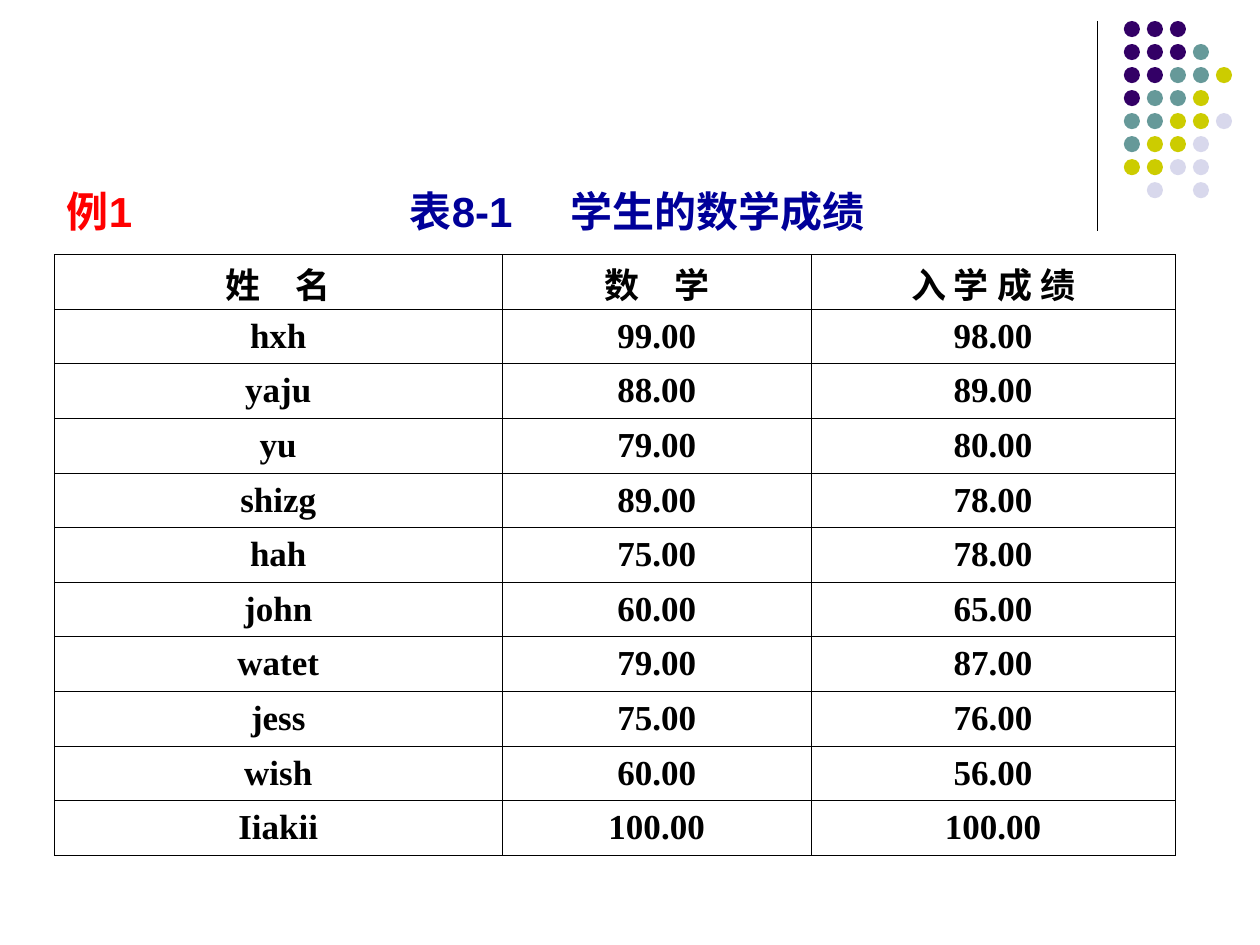
import pptx
import pptx.util
import pptx.dml.color
import pptx.enum.shapes
import pptx.enum.text
import pptx.oxml
import pptx.oxml.ns
import lxml.etree

Pt = pptx.util.Pt
ALIGN = pptx.enum.text.PP_ALIGN
MIDDLE = pptx.enum.text.MSO_ANCHOR.MIDDLE

DOTS = ["PPP", "PPPT", "PPTTY", "PTTY", "TTYYL", "TYYL", "YYLL", ".L.L"]
HUES = {"P": "330066", "T": "669999", "Y": "CCCC00", "L": "D8D8EC"}
ROWS = [
    ("姓　名", "数　学", "入 学 成 绩"),
    ("hxh", "99.00", "98.00"),
    ("yaju", "88.00", "89.00"),
    ("yu", "79.00", "80.00"),
    ("shizg", "89.00", "78.00"),
    ("hah", "75.00", "78.00"),
    ("john", "60.00", "65.00"),
    ("watet", "79.00", "87.00"),
    ("jess", "75.00", "76.00"),
    ("wish", "60.00", "56.00"),
    ("Iiakii", "100.00", "100.00"),
]


def color(code):
    return pptx.dml.color.RGBColor.from_string(code)


def write(para, text, size=20, face="Times New Roman", hue="000000", bold=True):
    run = para.add_run()
    run.text = text
    font = run.font
    font.size, font.name, font.bold = Pt(size), face, bold
    font.color.rgb = color(hue)


def add_tabs(para, stops):
    props = para._p.get_or_add_pPr()
    tabs = lxml.etree.SubElement(props, pptx.oxml.ns.qn("a:tabLst"))
    for stop in stops:
        lxml.etree.SubElement(tabs, pptx.oxml.ns.qn("a:tab"), pos=str(Pt(stop)), algn="l")


def add_edge(cell, side, width=0.45, hue="000000"):
    line = pptx.oxml.parse_xml(
        f'<a:ln{side} {pptx.oxml.ns.nsdecls("a")} w="{Pt(width)}">'
        f'<a:solidFill><a:srgbClr val="{hue}"/></a:solidFill></a:ln{side}>'
    )
    cell._tc.get_or_add_tcPr().append(line)


def draw_dots(slide, left, top, height, inset=15.2, pitch=13.15, size=9.2):
    rule = slide.shapes.add_connector(
        pptx.enum.shapes.MSO_CONNECTOR.STRAIGHT,
        Pt(left), Pt(top), Pt(left), Pt(top + height),
    )
    rule.line.color.rgb = color("000000")
    rule.line.width = Pt(0.75)
    lxml.etree.SubElement(rule._element.spPr, pptx.oxml.ns.qn("a:effectLst"))
    group = slide.shapes.add_group_shape()
    for row, marks in enumerate(DOTS):
        for col, mark in enumerate(marks):
            if mark not in HUES:
                continue
            dot = group.shapes.add_shape(
                pptx.enum.shapes.MSO_SHAPE.OVAL,
                Pt(left + inset + col * pitch), Pt(top + row * pitch),
                Pt(size), Pt(size),
            )
            dot.shadow.inherit = False
            dot.fill.solid()
            dot.fill.fore_color.rgb = color(HUES[mark])
            dot.line.fill.background()


def draw_title(slide, left, top, width, height):
    title = slide.shapes.title
    title.left, title.top = Pt(left), Pt(top)
    title.width, title.height = Pt(width), Pt(height)
    frame = title.text_frame
    frame.auto_size = pptx.enum.text.MSO_AUTO_SIZE.NONE
    frame.vertical_anchor = MIDDLE
    para = frame.paragraphs[0]
    para.alignment = ALIGN.LEFT
    add_tabs(para, (196, 288))
    write(para, "例1\t", size=24, face="Arial", hue="FF0000")
    write(para, "表8-1\t学生的数学成绩", size=24, face="Arial", hue="000099")


def draw_table(slide, left, top, widths, height):
    table = slide.shapes.add_table(
        len(ROWS), len(widths), Pt(left), Pt(top), Pt(sum(widths)), Pt(height)
    ).table
    table.first_row = table.horz_banding = False
    for col, width in zip(table.columns, widths):
        col.width = Pt(width)
    for row, texts in zip(table.rows, ROWS):
        row.height = Pt(height / len(ROWS))
        for cell, text in zip(row.cells, texts):
            cell.vertical_anchor = MIDDLE
            for side in "LRTB":
                add_edge(cell, side)
            cell.fill.background()
            para = cell.text_frame.paragraphs[0]
            para.alignment = ALIGN.CENTER
            write(para, text)
    for cell in table.rows[0].cells:
        cell.margin_top, cell.margin_bottom = Pt(1.7), Pt(0)


def main():
    deck = pptx.Presentation()
    deck.slide_width, deck.slide_height = Pt(720), Pt(540)
    slide = deck.slides.add_slide(deck.slide_layouts[5])
    draw_dots(slide, left=627, top=12, height=120)
    draw_title(slide, left=31, top=102.5, width=658, height=36)
    draw_table(slide, left=31, top=145.4, widths=(256, 176.5, 208), height=343.5)
    deck.save("out.pptx")


if __name__ == "__main__":
    main()
